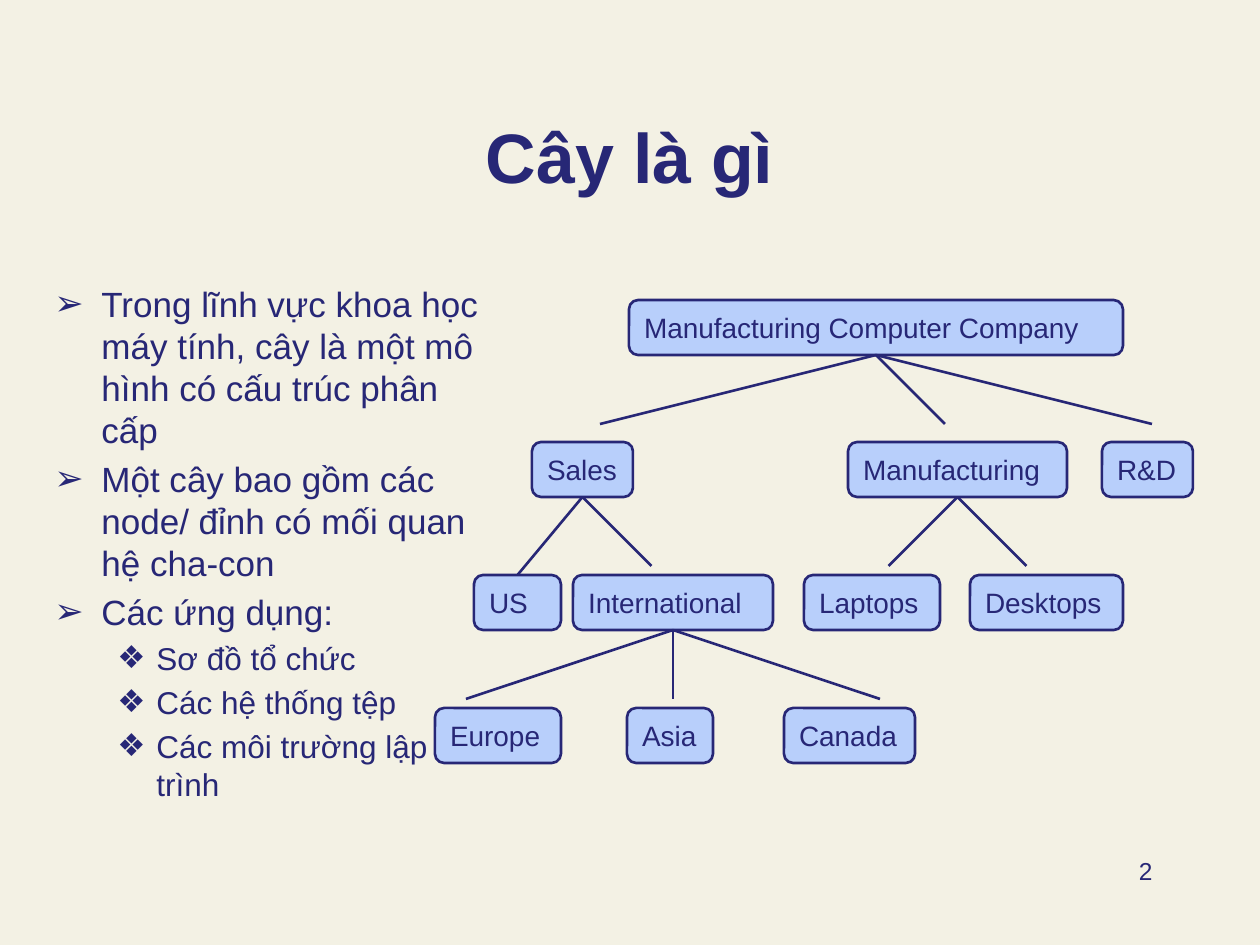
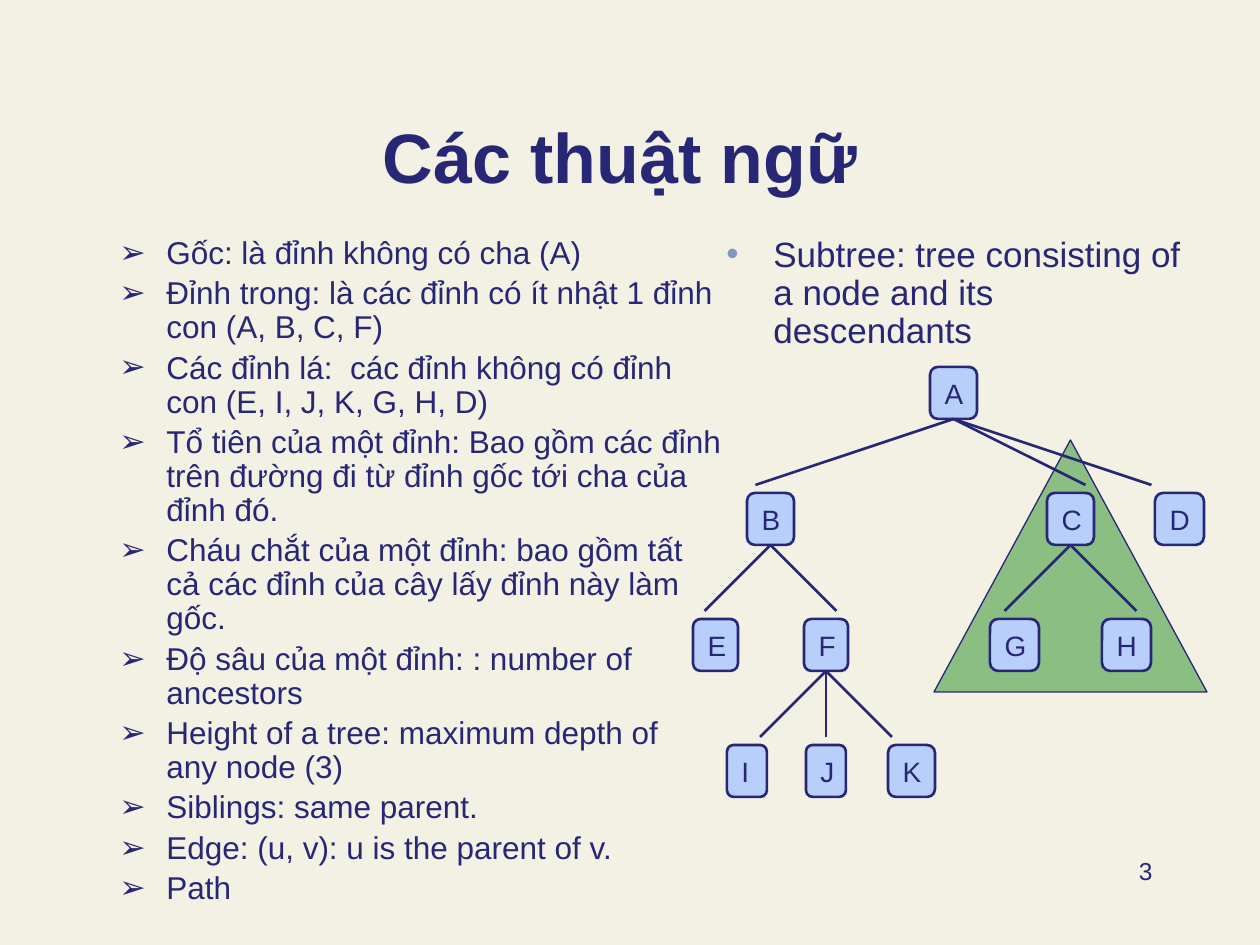
import lxml.etree
import pptx
import pptx.dml.color
import pptx.enum.shapes
import pptx.enum.text
import pptx.oxml.ns
import pptx.util

COLORS = {"paper": "F3F1E4", "ink": "272776", "node": "B8CFFB",
          "subtree": "8BBE82", "dot": "7F97C2"}
FONT = "Arial"
EMU_PER_PX = 914400 / 126
TITLE_BOX = (94, 68, 1071, 136)
NUMBER_BOX = (903, 850, 262, 63)
SHAPES = pptx.enum.shapes.MSO_SHAPE
ALIGN = pptx.enum.text.PP_ALIGN
ANCHOR = pptx.enum.text.MSO_ANCHOR

MAIN_ITEM = {"size": 20, "bullet": "➢", "indent": (47, 47)}
SUB_ITEM = {"size": 18, "bullet": "❖", "indent": (102, 39), "level": 1}
TERM_ITEM = {"size": 18, "bullet": "➢", "indent": (47, 47), "spacing": 0.9}
DOT_ITEM = {"size": 20, "bullet": "•", "indent": (47, 47), "spacing": 0.9,
            "bullet_color": "dot"}

INTRO = [
    ("Trong lĩnh vực khoa học máy tính, cây là một mô hình có cấu trúc phân cấp", MAIN_ITEM),
    ("Một cây bao gồm các node/ đỉnh có mối quan hệ cha-con", MAIN_ITEM),
    ("Các ứng dụng:", MAIN_ITEM),
    ("Sơ đồ tổ chức", SUB_ITEM),
    ("Các hệ thống tệp", SUB_ITEM),
    ("Các môi trường lập trình", SUB_ITEM),
]
TERMS = [
    "Gốc: là đỉnh không có cha (A)",
    "Đỉnh trong: là các đỉnh có ít nhật 1 đỉnh con (A, B, C, F)",
    "Các đỉnh lá:  các đỉnh không có đỉnh con (E, I, J, K, G, H, D)",
    "Tổ tiên của một đỉnh: Bao gồm các đỉnh trên đường đi từ đỉnh gốc tới cha của đỉnh đó.",
    "Cháu chắt của một đỉnh: bao gồm tất cả các đỉnh của cây lấy đỉnh này làm gốc.",
    "Độ sâu của một đỉnh: : number of ancestors",
    "Height of a tree: maximum depth of \vany node (3)",
    "Siblings: same parent.",
    "Edge: (u, v): u is the parent of v.",
    "Path",
]

COMPANY_NODES = [
    ("Manufacturing Computer Company", 0, 194, 494),
    ("Sales", 1, 97, 101), ("Manufacturing", 1, 413, 219), ("R&D", 1, 667, 91),
    ("US", 2, 39, 87), ("International", 2, 138, 200),
    ("Laptops", 2, 369, 136), ("Desktops", 2, 535, 153),
    ("Europe", 3, 0, 126), ("Asia", 3, 192, 86), ("Canada", 3, 349, 131),
]
COMPANY_BRANCHES = {
    "Manufacturing Computer Company": (-4, 1, 4),
    "Sales": ("US", 1),
    "Manufacturing": (-1, 1),
    "International": (-3, 0, 3),
}
LETTER_NODES = [
    ("A", 0, 237, 47), ("B", 1, 54, 47), ("C", 1, 354, 47), ("D", 1, 462, 49),
    ("E", 2, 0, 45), ("F", 2, 111, 44), ("G", 2, 297, 49), ("H", 2, 409, 49),
    ("I", 3, 34, 40), ("J", 3, 113, 40), ("K", 3, 195, 47),
]
LETTER_BRANCHES = {"A": (-3, 2, 3), "B": (-1, 1), "C": (-1, 1), "F": (-1, 0, 1)}


def px(length):
    """Turn pixels into EMU."""
    return round(length * EMU_PER_PX)


def color(name):
    """Look up a colour of the palette."""
    return pptx.dml.color.RGBColor.from_string(COLORS[name])


def add_bullet(para, mark, tint, indent):
    """Give a paragraph a bullet with a hanging indent."""
    props = para._p.get_or_add_pPr()
    left, hang = indent
    props.set("marL", str(px(left)))
    props.set("indent", str(-px(hang)))
    qn = pptx.oxml.ns.qn
    holder = lxml.etree.SubElement(props, qn("a:buClr"))
    lxml.etree.SubElement(holder, qn("a:srgbClr"), val=COLORS[tint])
    lxml.etree.SubElement(props, qn("a:buFont"), typeface=FONT)
    lxml.etree.SubElement(props, qn("a:buChar"), char=mark)


def write(para, text, size=16, bold=False, align=ALIGN.LEFT, level=0, before=0,
          spacing=None, bullet=None, bullet_color="ink", indent=(0, 0)):
    """Fill a paragraph with formatted text."""
    para.text = text
    para.alignment = align
    para.level = level
    para.space_before = pptx.util.Pt(before)
    para.line_spacing = spacing
    if bullet:
        add_bullet(para, bullet, bullet_color, indent)
    for span in para.runs:
        span.font.name = FONT
        span.font.size = pptx.util.Pt(size)
        span.font.bold = bold
        span.font.color.rgb = color("ink")


def add_text(page, box, items):
    """Place a wrapping text box with one paragraph per (text, format) item."""
    frame = page.shapes.add_textbox(*map(px, box)).text_frame
    frame.word_wrap = True
    for index, (text, style) in enumerate(items):
        para = frame.add_paragraph() if index else frame.paragraphs[0]
        write(para, text, before=style["size"] / 5 if index else 0, **style)


def add_outlined(page, kind, box, fill, width):
    """Place a filled shape with an ink outline."""
    shape = page.shapes.add_shape(kind, *map(px, box))
    shape.shadow.inherit = False
    shape.fill.solid()
    shape.fill.fore_color.rgb = color(fill)
    shape.line.color.rgb = color("ink")
    shape.line.width = pptx.util.Pt(width)
    return shape


def add_node(page, box, label):
    """Place one labelled tree node."""
    node = add_outlined(page, SHAPES.ROUNDED_RECTANGLE, box, "node", 1.5)
    frame = node.text_frame
    frame.word_wrap = True
    frame.vertical_anchor = ANCHOR.MIDDLE
    write(frame.paragraphs[0], label)
    return node


def add_branch(page, parent, tip, gap, nodes):
    """Draw a line from a node's bottom to a named node or a step sideways."""
    start_x = parent.left + parent.width // 2
    start_y = parent.top + parent.height
    step = 0 if tip in nodes else tip * gap
    branch = page.shapes.add_connector(
        pptx.enum.shapes.MSO_CONNECTOR.STRAIGHT,
        start_x, start_y, start_x + px(step), start_y + px(gap))
    branch.begin_connect(parent, 2)
    if tip in nodes:
        branch.end_connect(nodes[tip], 0)
    branch.line.color.rgb = color("ink")
    branch.line.width = pptx.util.Pt(1.5)
    lxml.etree.SubElement(branch._element.spPr, pptx.oxml.ns.qn("a:effectLst"))


def add_tree(page, origin, entries, branches, row_tops, node_height, gap):
    """Place a tree whose nodes sit in rows below the origin."""
    left, top = origin
    nodes = {label: add_node(page, (left + x, top + row_tops[row], width, node_height), label)
             for label, row, x, width in entries}
    for label, tips in branches.items():
        for tip in tips:
            add_branch(page, nodes[label], tip, gap, nodes)


def add_page(deck, title, number):
    """Add a title-only slide with its title and number."""
    page = deck.slides.add_slide(deck.slide_layouts.get_by_name("Title Only"))
    holder = page.shapes.title
    holder.left, holder.top, holder.width, holder.height = map(px, TITLE_BOX)
    frame = holder.text_frame
    frame.auto_size = pptx.enum.text.MSO_AUTO_SIZE.NONE
    frame.vertical_anchor = ANCHOR.BOTTOM
    write(frame.paragraphs[0], title, size=40, bold=True, align=ALIGN.CENTER)
    add_text(page, NUMBER_BOX, [(str(number), {"size": 14, "align": ALIGN.RIGHT})])
    return page


def build_intro(deck):
    """Build the slide that says what a tree is."""
    page = add_page(deck, "Cây là gì", 2)
    add_text(page, (42, 276, 462, 567), INTRO)
    add_tree(page, (435, 300), COMPANY_NODES, COMPANY_BRANCHES,
             row_tops=(0, 142, 275, 408), node_height=55, gap=69)


def build_terms(deck):
    """Build the slide of tree terms with a marked subtree."""
    page = add_page(deck, "Các thuật ngữ ", 3)
    add_text(page, (107, 231, 627, 630), [(term, TERM_ITEM) for term in TERMS])
    add_text(page, (714, 231, 483, 136),
             [("Subtree: tree consisting of a node and its descendants", DOT_ITEM)])
    left, top = origin = (693, 367)
    add_outlined(page, SHAPES.ISOSCELES_TRIANGLE, (left + 241, top + 73, 273, 252),
                 "subtree", 0.75)
    add_tree(page, origin, LETTER_NODES, LETTER_BRANCHES,
             row_tops=range(0, 504, 126), node_height=52, gap=66)


def main():
    """Build and save the deck."""
    deck = pptx.Presentation()
    deck.slide_width, deck.slide_height = px(1260), px(945)
    backdrop = deck.slide_master.background.fill
    backdrop.solid()
    backdrop.fore_color.rgb = color("paper")
    build_intro(deck)
    build_terms(deck)
    deck.save("out.pptx")


if __name__ == "__main__":
    main()
